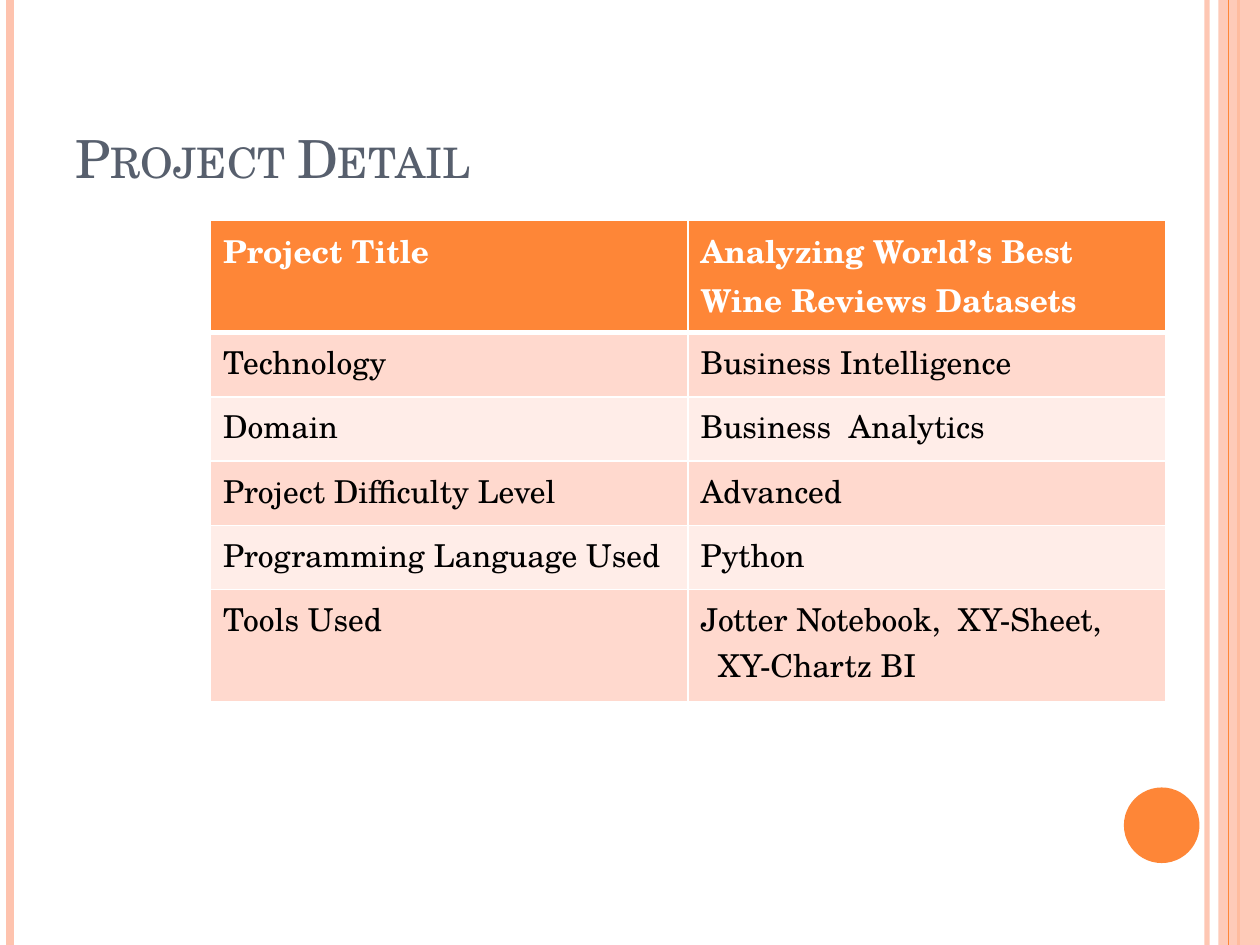
from lxml import etree
from pptx import Presentation
from pptx.dml.color import RGBColor
from pptx.enum import shapes, text
from pptx.oxml import ns
from pptx.util import Inches, Pt

COLORS = {
    "orange": "FE8637",
    "peach": "FEC3AE",
    "slate": "575F6D",
    "white": "FFFFFF",
    "black": "000000",
    "dark_band": "FFD9CE",
    "light_band": "FFEDE8",
}
ROWS = [
    ("Project Title", "Analyzing World’s Best Wine Reviews Datasets"),
    ("Technology", "Business Intelligence"),
    ("Domain", "Business  Analytics"),
    ("Project Difficulty Level", "Advanced"),
    ("Programming Language Used", "Python"),
    ("Tools Used", "Jotter Notebook,  XY-Sheet,\nXY-Chartz BI"),
]
ROW_HEIGHTS = [0.89, 0.51, 0.51, 0.51, 0.51, 0.89]


class SlideBuilder:
    font_name = "TeX Gyre Schola"

    def __init__(self, slide):
        self.slide = slide

    def color(self, name):
        return RGBColor.from_string(COLORS[name])

    def set_alpha(self, element, percent):
        for color in element.iter(ns.qn("a:srgbClr")):
            alpha = etree.SubElement(color, ns.qn("a:alpha"))
            alpha.set("val", str(percent * 1000))

    def format_runs(self, paragraph, size, color, bold=False):
        for run in paragraph.runs:
            run.font.name = self.font_name
            run.font.size = Pt(size)
            run.font.bold = bold
            run.font.color.rgb = self.color(color)

    def vertical_line(self, x, color, width, alpha=None):
        line = self.slide.shapes.add_connector(
            shapes.MSO_CONNECTOR.STRAIGHT, Inches(x), 0, Inches(x), Inches(7.5))
        line.line.color.rgb = self.color(color)
        line.line.width = Pt(width)
        properties = line._element.spPr
        if alpha:
            self.set_alpha(properties, alpha)
        etree.SubElement(properties, ns.qn("a:effectLst"))

    def shape(self, kind, left, top, width, height, color, alpha=None):
        shape = self.slide.shapes.add_shape(
            kind, Inches(left), Inches(top), Inches(width), Inches(height))
        shape.shadow.inherit = False
        shape.fill.solid()
        shape.fill.fore_color.rgb = self.color(color)
        shape.line.fill.background()
        if alpha:
            self.set_alpha(shape._element.spPr, alpha)

    def title(self, wording, left, top, width, height):
        title = self.slide.shapes.title
        title.left, title.top = Inches(left), Inches(top)
        title.width, title.height = Inches(width), Inches(height)
        frame = title.text_frame
        frame.text = wording
        frame.auto_size = text.MSO_AUTO_SIZE.NONE
        frame.vertical_anchor = text.MSO_ANCHOR.BOTTOM
        paragraph = frame.paragraphs[0]
        paragraph.alignment = text.PP_ALIGN.LEFT
        self.format_runs(paragraph, 30, "slate")
        paragraph.runs[0].font._element.set("cap", "small")

    def border(self, cell, side, width):
        properties = cell._tc.get_or_add_tcPr()
        line = etree.SubElement(properties, ns.qn(f"a:ln{side}"), w=str(Pt(width)))
        fill = etree.SubElement(line, ns.qn("a:solidFill"))
        etree.SubElement(fill, ns.qn("a:srgbClr"), val=COLORS["white"])

    def cell(self, cell, wording, fill, color, bold, top_width, bottom_width):
        cell.text_frame.text = wording
        for index, paragraph in enumerate(cell.text_frame.paragraphs):
            self.format_runs(paragraph, 18, color, bold)
            if index:
                paragraph._p.get_or_add_pPr().set("marL", str(Inches(0.14)))
        for side, width in zip("LRTB", (1, 1, top_width, bottom_width)):
            self.border(cell, side, width)
        cell.fill.solid()
        cell.fill.fore_color.rgb = self.color(fill)

    def table(self, rows, heights, left, top, width):
        columns = len(rows[0])
        table = self.slide.shapes.add_table(
            len(rows), columns, Inches(left), Inches(top),
            Inches(width), Inches(sum(heights))).table
        for column in table.columns:
            column.width = Inches(width / columns)
        for row_index, (row, height) in enumerate(zip(rows, heights)):
            table.rows[row_index].height = Inches(height)
            header = row_index == 0
            band = "dark_band" if row_index % 2 else "light_band"
            for column_index, wording in enumerate(row):
                self.cell(
                    table.cell(row_index, column_index), wording,
                    fill="orange" if header else band,
                    color="white" if header else "black",
                    bold=header,
                    top_width=3 if row_index == 1 else 1,
                    bottom_width=3 if header else 1)


def main():
    presentation = Presentation()
    presentation.slide_width = Inches(10)
    presentation.slide_height = Inches(7.5)
    builder = SlideBuilder(presentation.slides.add_slide(presentation.slide_layouts[5]))

    builder.vertical_line(9.58, "peach", 3, alpha=93)
    builder.vertical_line(0.08, "peach", 4.5)
    builder.vertical_line(9.83, "orange", 1.5)
    builder.shape(shapes.MSO_SHAPE.RECTANGLE, 9.67, 0, 0.33, 7.5, "peach", alpha=87)
    builder.vertical_line(9.75, "orange", 0.75)
    builder.shape(shapes.MSO_SHAPE.OVAL, 8.92, 6.25, 0.6, 0.6, "orange")
    builder.title("Project Detail", 0.5, 0.3, 8.17, 1.25)
    builder.table(ROWS, ROW_HEIGHTS, 1.67, 1.75, 7.58)

    presentation.save("out.pptx")


if __name__ == "__main__":
    main()
